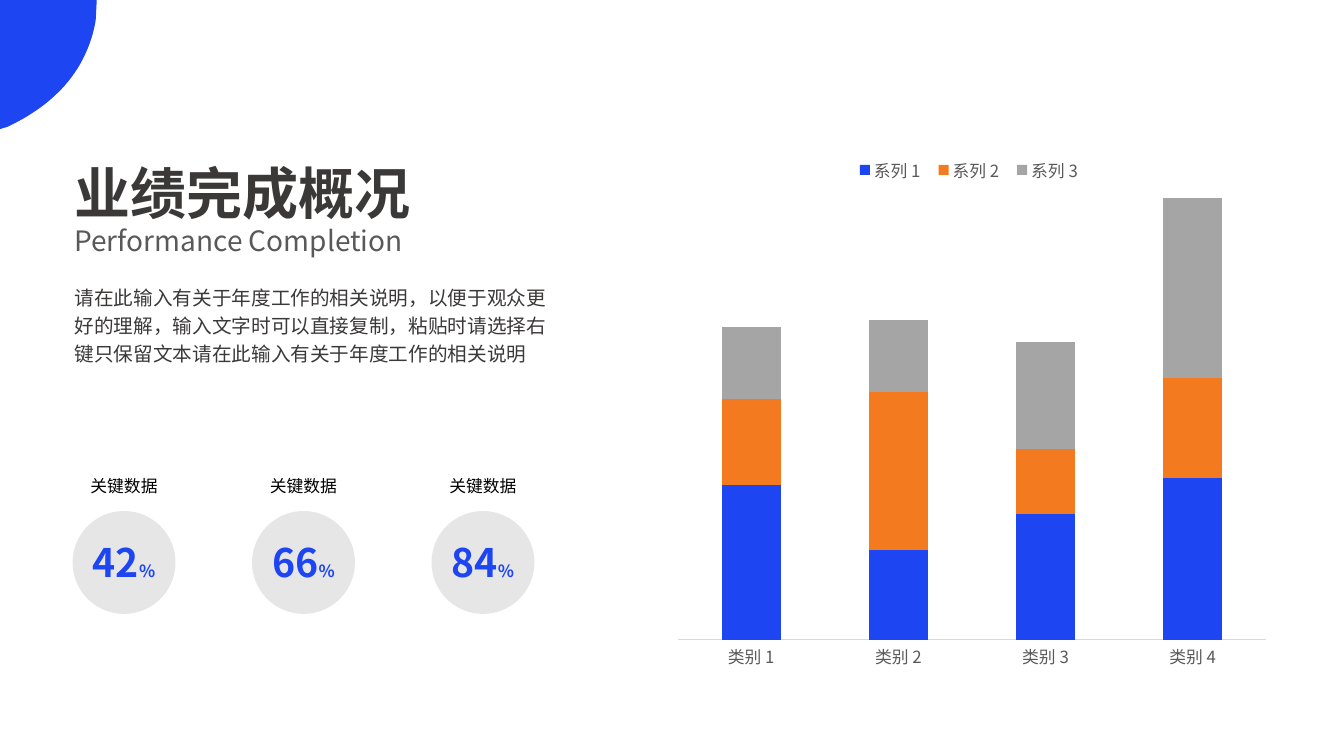
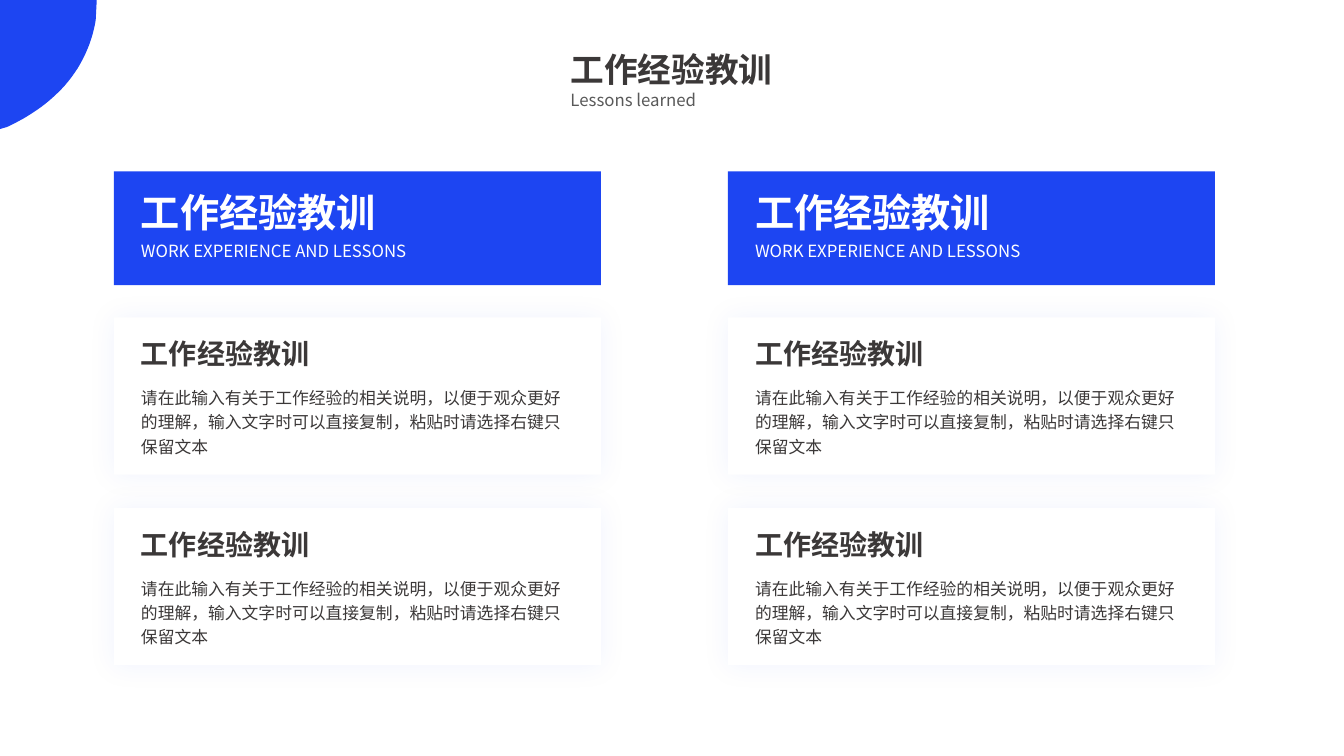
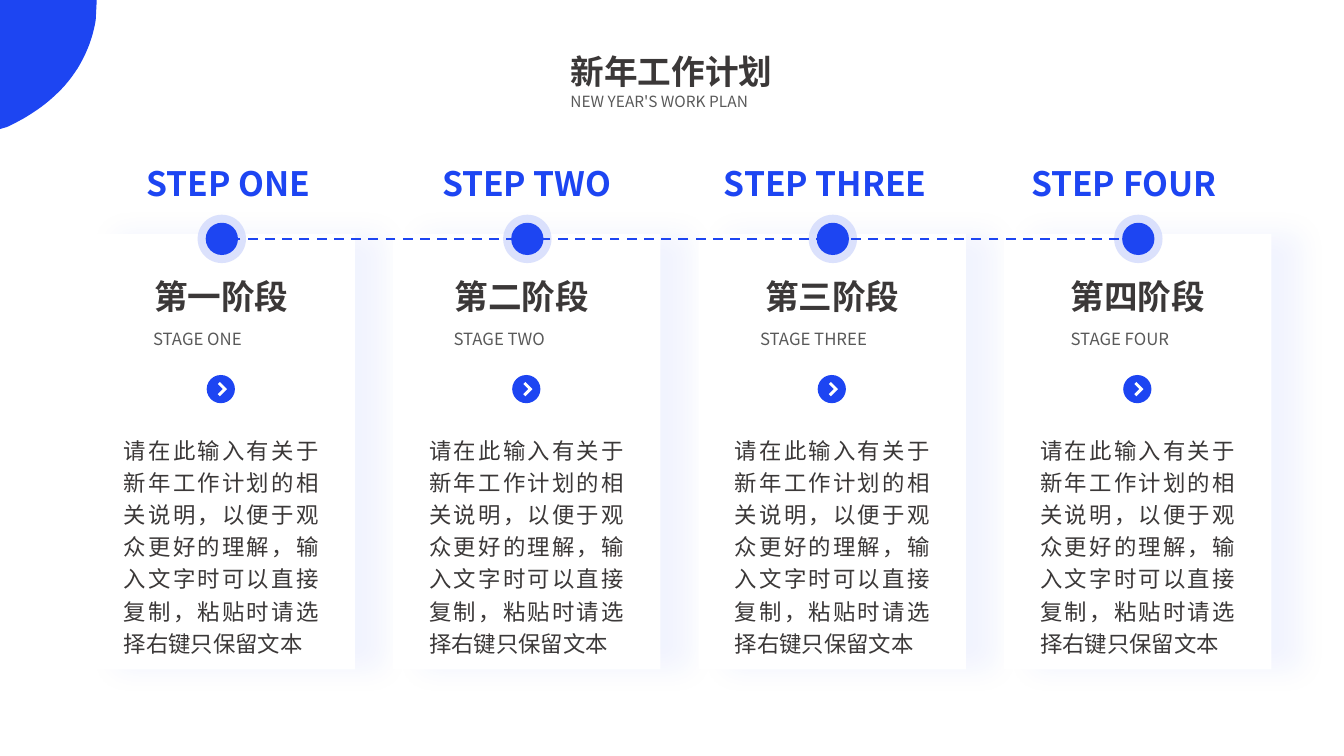
from dataclasses import dataclass

from lxml.etree import SubElement
from pptx import Presentation
from pptx.chart.data import CategoryChartData
from pptx.dml.color import RGBColor
from pptx.enum.chart import XL_CHART_TYPE, XL_LEGEND_POSITION, XL_TICK_MARK
from pptx.enum.dml import MSO_LINE
from pptx.enum.shapes import MSO_CONNECTOR, MSO_SHAPE
from pptx.enum.text import MSO_ANCHOR, MSO_AUTO_SIZE, PP_ALIGN
from pptx.oxml import parse_xml
from pptx.oxml.ns import nsdecls, qn
from pptx.util import Inches, Pt

# Shared style
FONT = "Noto Sans CJK SC"
BLUE, ORANGE, SILVER = "1D45F2", "F47A1F", "A5A5A5"
WHITE, BLACK, DARK, GREY = "FFFFFF", "000000", "3B3838", "595959"
DISC, HALO, AXIS = "E6E6E6", "D2DAFC", "D9D9D9"
LEFT, CENTER, JUSTIFY = PP_ALIGN.LEFT, PP_ALIGN.CENTER, PP_ALIGN.JUSTIFY


@dataclass
class Box:
    x: float
    y: float
    w: float
    h: float

    def emu(self) -> tuple:
        return tuple(Inches(v) for v in (self.x, self.y, self.w, self.h))


@dataclass
class Stage:
    step: str
    name: str
    english: str
    english_x: float
    align: PP_ALIGN = CENTER


def rgb(color: str) -> RGBColor:
    return RGBColor.from_string(color)


# Text
def style_font(font, size: float, color: str, bold: bool = False) -> None:
    font.size, font.bold, font.name = Pt(size), bold, FONT
    font.color.rgb = rgb(color)


def add_run(p, text: str, size: float, color: str, bold: bool = False) -> None:
    r = p.add_run()
    r.text = text
    style_font(r.font, size, color, bold)


def write_text(sp, text: str, *, size: float, color: str = DARK, bold: bool = False,
               align: PP_ALIGN = LEFT, spacing: float = 1.0):
    tf = sp.text_frame
    tf.word_wrap, tf.auto_size = True, MSO_AUTO_SIZE.NONE
    tf.vertical_anchor = MSO_ANCHOR.TOP
    p = tf.paragraphs[0]
    p.alignment, p.line_spacing, p.space_before = align, spacing, Pt(0)
    add_run(p, text, size, color, bold)
    return p


def add_text(s, box: Box, text: str, **style):
    return write_text(s.shapes.add_textbox(*box.emu()), text, **style)


def fill_placeholder(sp, box: Box, text: str, **style):
    sp.left, sp.top, sp.width, sp.height = box.emu()
    return write_text(sp, text, **style)


def add_heading(s, box: Box, text: str, size: float = 24, align: PP_ALIGN = JUSTIFY) -> None:
    fill_placeholder(s.shapes.title, box, text, size=size, bold=True, align=align, spacing=0.9)


def set_east_asian_font(element) -> None:
    for latin in list(element.iter(qn("a:latin"))):
        latin.addnext(parse_xml(f'<a:ea {nsdecls("a")} typeface="{FONT}"/>'))


# Shapes
def paint(sp, color: str) -> None:
    sp.shadow.inherit = False
    sp.fill.solid()
    sp.fill.fore_color.rgb = rgb(color)
    sp.line.fill.background()


def add_shape(s, kind: MSO_SHAPE, box: Box, color: str):
    sp = s.shapes.add_shape(kind, *box.emu())
    paint(sp, color)
    return sp


def add_card(s, box: Box, shadow_distance: float = 0) -> None:
    sp = add_shape(s, MSO_SHAPE.RECTANGLE, box, WHITE)
    effects = sp.element.spPr.find(qn("a:effectLst"))
    shadow = SubElement(effects, qn("a:outerShdw"), blurRad=str(Pt(20)),
                        dist=str(Pt(shadow_distance)), dir="0", algn="ctr", rotWithShape="0")
    color = SubElement(shadow, qn("a:srgbClr"), val=BLUE)
    SubElement(color, qn("a:alpha"), val="5000")


def add_corner_to_master(prs, s) -> None:
    """Blue corner shown behind every slide."""
    curve = [(0.95, 0.2), (0.86, 0.73), (0.5, 1.06), (0.07, 1.26)]
    points = [(0.96, 0)]
    steps = 32
    for i in range(steps + 1):
        t = i / steps
        weights = ((1 - t) ** 3, 3 * t * (1 - t) ** 2, 3 * t * t * (1 - t), t ** 3)
        points.append(tuple(sum(w * c[k] for w, c in zip(weights, curve)) for k in (0, 1)))
    points.append((0, 1.28))
    builder = s.shapes.build_freeform(0, 0, scale=Inches(1) / 1000)
    builder.add_line_segments([(x * 1000, y * 1000) for x, y in points], close=True)
    sp = builder.convert_to_shape()
    paint(sp, BLUE)
    sp.element.find(".//" + qn("p:cNvPr")).set("id", "99")
    prs.slide_master.shapes.element.append(sp.element)


# Chart
def manual_layout(x: float, y: float, w: float, h: float, inner: bool = False):
    target = '<c:layoutTarget val="inner"/>' if inner else ""
    values = "".join(f'<c:{k} val="{v}"/>' for k, v in zip("xywh", (x, y, w, h)))
    return parse_xml(f'<c:layout {nsdecls("c")}><c:manualLayout>{target}'
                     f'<c:xMode val="edge"/><c:yMode val="edge"/>{values}'
                     '</c:manualLayout></c:layout>')


def add_performance_chart(s) -> None:
    series = [("系列 1", (86, 50, 70, 90), BLUE),
              ("系列 2", (48, 88, 36, 56), ORANGE),
              ("系列 3", (40, 40, 60, 100), SILVER)]
    data = CategoryChartData()
    data.categories = [f"类别 {i}" for i in range(1, 5)]
    for name, values, _ in series:
        data.add_series(name, values)
    box = Box(6.6, 1.24, 6.02, 5.94)
    chart = s.shapes.add_chart(XL_CHART_TYPE.COLUMN_STACKED, *box.emu(), data).chart
    chart.has_title = False
    style_font(chart.font, 10, BLACK)

    plot = chart.plots[0]
    plot.gap_width, plot.overlap, plot.vary_by_categories = 150, 100, False
    for ser, (_, _, color) in zip(plot.series, series):
        ser.format.fill.solid()
        ser.format.fill.fore_color.rgb = rgb(color)

    axis = chart.category_axis
    axis.major_tick_mark = axis.minor_tick_mark = XL_TICK_MARK.NONE
    axis.format.line.color.rgb = rgb(AXIS)
    axis.format.line.width = Pt(0.75)
    style_font(axis.tick_labels.font, 12, GREY)
    values_axis = chart.value_axis
    values_axis.minimum_scale, values_axis.maximum_scale = 0, 250
    values_axis.has_major_gridlines = values_axis.visible = False

    chart.has_legend = True
    chart.legend.position = XL_LEGEND_POSITION.BOTTOM
    chart.legend.include_in_layout = False
    style_font(chart.legend.font, 12, GREY)

    # Legend above the columns
    root = chart.element
    for old in list(root.iter(qn("c:layout"))):
        old.getparent().remove(old)
    root.find(".//" + qn("c:plotArea")).insert(0, manual_layout(0.02, 0.11, 0.97, 0.75, True))
    root.find(".//" + qn("c:legendPos")).addnext(manual_layout(0.3, 0.05, 0.4, 0.05))
    set_east_asian_font(root)


# Slides
def build_performance(s) -> None:
    add_heading(s, Box(0.64, 1.6, 3.57, 0.71), "业绩完成概况", size=40, align=LEFT)
    p = fill_placeholder(
        s.placeholders[1], Box(0.64, 2.74, 4.95, 0.95),
        "请在此输入有关于年度工作的相关说明，以便于观众更好的理解，输入文字时可以直接复制，"
        "粘贴时请选择右键只保留文本请在此输入有关于年度工作的相关说明",
        size=14, spacing=1.2)
    pPr = p._p.get_or_add_pPr()
    pPr.set("marL", "0")
    pPr.set("indent", "0")
    SubElement(pPr, qn("a:buNone"))
    add_text(s, Box(0.64, 2.17, 3.54, 0.44), "Performance Completion",
             size=20, color=GREY, align=JUSTIFY)
    add_performance_chart(s)

    # Key figures
    size = 1.02
    for i, figure in enumerate(("42", "66", "84")):
        x = 0.72 + 1.78 * i
        add_shape(s, MSO_SHAPE.OVAL, Box(x, 5.07, size, size), DISC)
        add_text(s, Box(x, 4.67, size, 0.3), "关键数据", size=12, color=BLACK, align=CENTER)
        p = add_text(s, Box(x, 5.29, size, 0.57), figure,
                     size=28, color=BLUE, bold=True, align=CENTER)
        add_run(p, "%", 12, BLUE, bold=True)


def build_lessons(s) -> None:
    topic = "工作经验教训"
    add_heading(s, Box(5.56, 0.48, 2.21, 0.46), topic)
    add_text(s, Box(5.56, 0.84, 2.21, 0.3), "Lessons learned", size=12, color=GREY, align=JUSTIFY)
    width = 4.83
    for x in (1.13, 7.22):
        text_x = x + 0.17
        # Column banner
        add_shape(s, MSO_SHAPE.RECTANGLE, Box(x, 1.7, width, 1.13), BLUE)
        add_text(s, Box(text_x, 1.87, 3.9, 0.53), topic,
                 size=28, color=WHITE, bold=True, spacing=0.9)
        add_text(s, Box(text_x, 2.36, 3.19, 0.28), "WORK EXPERIENCE AND LESSONS",
                 size=12, color=WHITE, align=JUSTIFY, spacing=0.9)
        # Cards
        for y in (3.15, 5.04):
            add_card(s, Box(x, y, width, 1.56))
            add_text(s, Box(text_x, y + 0.18, 3.9, 0.4), topic, size=20, bold=True, spacing=0.9)
            add_text(s, Box(text_x, y + 0.61, 4.51, 0.81),
                     "请在此输入有关于工作经验的相关说明，以便于观众更好的理解，"
                     "输入文字时可以直接复制，粘贴时请选择右键只保留文本",
                     size=12, spacing=1.2)


def add_stage(s, x: float, step_x: float, stage: Stage) -> None:
    add_card(s, Box(x, 2.32, 2.65, 4.32), shadow_distance=20)
    add_text(s, Box(x + 0.51, 2.73, 1.63, 0.46), stage.name,
             size=24, bold=True, align=stage.align, spacing=0.9)
    add_text(s, Box(stage.english_x, 3.23, 1.66, 0.28), stage.english,
             size=12, color=GREY, align=JUSTIFY, spacing=0.9)
    # Arrow button
    add_shape(s, MSO_SHAPE.OVAL, Box(x + 1.18, 3.72, 0.28, 0.28), BLUE)
    chevron = add_shape(s, MSO_SHAPE.CORNER, Box(x + 1.26, 3.81, 0.1, 0.1), WHITE)
    chevron.rotation = 225
    chevron.adjustments[0], chevron.adjustments[1] = 0.27, 0.29
    add_text(s, Box(x + 0.26, 4.23, 2.13, 2.34),
             "请在此输入有关于新年工作计划的相关说明，以便于观众更好的理解，"
             "输入文字时可以直接复制，粘贴时请选择右键只保留文本",
             size=16, align=JUSTIFY, spacing=1.2)
    # Timeline marker
    halo = add_shape(s, MSO_SHAPE.OVAL, Box(x + 1.09, 2.13, 0.48, 0.48), HALO)
    SubElement(halo.element.spPr.find(".//" + qn("a:srgbClr")), qn("a:alpha"), val="80000")
    add_shape(s, MSO_SHAPE.OVAL, Box(x + 1.17, 2.21, 0.32, 0.32), BLUE)
    add_text(s, Box(step_x, 1.61, 2.37, 0.46), stage.step,
             size=24, color=BLUE, bold=True, align=CENTER, spacing=0.9)


def build_plan(s) -> None:
    add_heading(s, Box(5.56, 0.5, 2.22, 0.46), "新年工作计划")
    add_text(s, Box(5.56, 0.86, 2.22, 0.29), "NEW YEAR'S WORK PLAN",
             size=11, color=GREY, align=JUSTIFY)
    stages = [Stage("STEP ONE", "第一阶段", "STAGE ONE", 1.42),
              Stage("STEP TWO", "第二阶段", "STAGE TWO", 4.4, JUSTIFY),
              Stage("STEP THREE", "第三阶段", "STAGE THREE", 7.44),
              Stage("STEP FOUR", "第四阶段", "STAGE FOUR", 10.52)]
    for i, stage in enumerate(stages):
        add_stage(s, 0.87 + 3.03 * i, 1.08 + 2.96 * i, stage)
    # Timeline
    line = s.shapes.add_connector(MSO_CONNECTOR.STRAIGHT, Inches(11.44), Inches(2.37),
                                  Inches(2.04), Inches(2.37))
    line.line.color.rgb = rgb(BLUE)
    line.line.width = Pt(1.75)
    line.line.dash_style = MSO_LINE.DASH
    SubElement(line.element.spPr, qn("a:effectLst"))


def main() -> None:
    prs = Presentation()
    prs.slide_width, prs.slide_height = Inches(13.33), Inches(7.5)
    title_and_body, title_only = prs.slide_layouts[1], prs.slide_layouts[5]
    pages = [(title_and_body, build_performance), (title_only, build_lessons),
             (title_only, build_plan)]
    for layout, build in pages:
        s = prs.slides.add_slide(layout)
        build(s)
        set_east_asian_font(s.element)
    add_corner_to_master(prs, prs.slides[0])
    prs.save("out.pptx")


if __name__ == "__main__":
    main()
